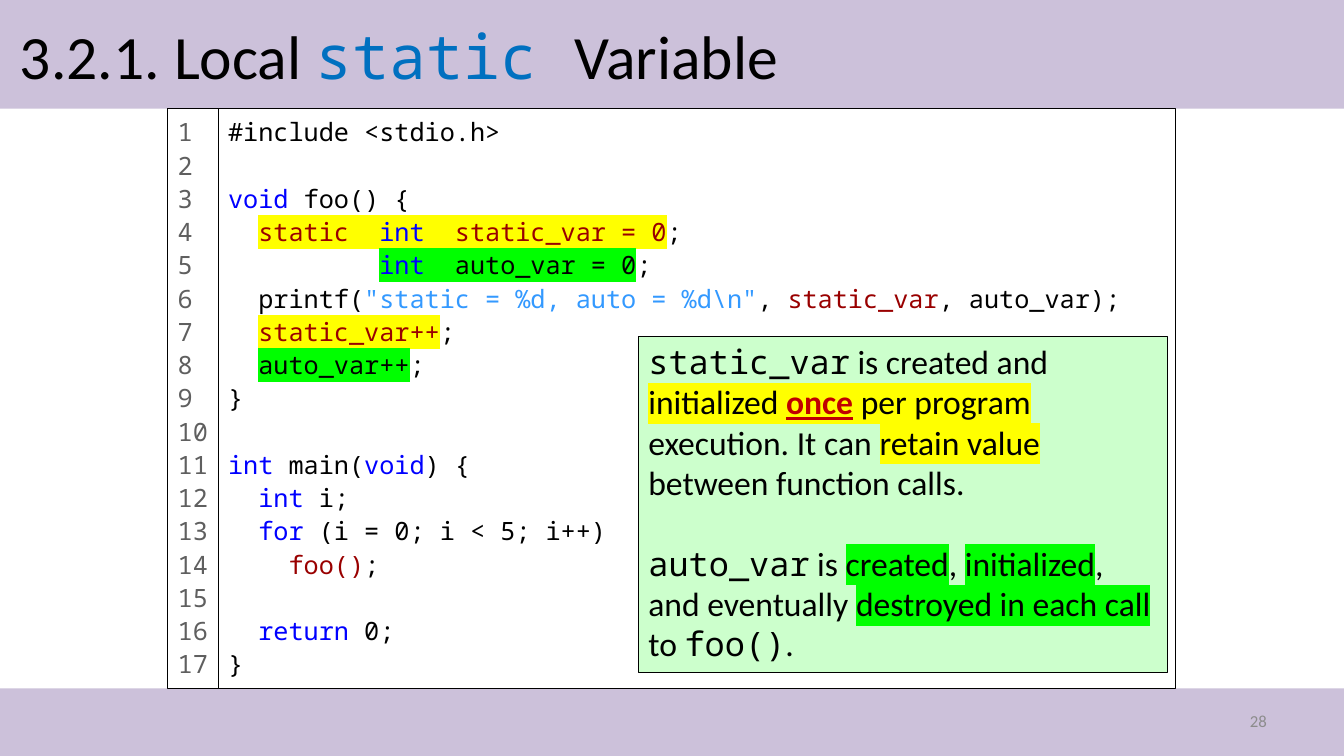
from lxml import etree
from pptx import Presentation
from pptx.dml.color import RGBColor
from pptx.enum.shapes import MSO_SHAPE
from pptx.enum.text import MSO_ANCHOR, PP_ALIGN
from pptx.oxml.ns import qn
from pptx.util import Cm, Pt

RECTANGLE = MSO_SHAPE.RECTANGLE
TOP, MIDDLE = MSO_ANCHOR.TOP, MSO_ANCHOR.MIDDLE
LEFT, RIGHT = PP_ALIGN.LEFT, PP_ALIGN.RIGHT
SANS, MONO = "Calibri", "Noto Sans Mono"
BLACK, WHITE, LILAC, MINT = "000000", "FFFFFF", "CCC1DA", "CCFFCC"
BLUE, RED, YELLOW, GREEN = "0000FF", "990000", "FFFF00", "00FF00"
WIDTH, HEIGHT = 33.87, 19.05
HEADER, FOOTER_TOP = 2.74, 17.35

# Looks that a span may add to the base look of its box
KEYWORD = {"color": BLUE}
STATIC = {"color": RED}
TEXT = {"color": "3399FF"}
KEPT = {"mark": YELLOW}
KEPT_STATIC = {"color": RED, "mark": YELLOW}
KEPT_KEYWORD = {"color": BLUE, "mark": YELLOW}
FRESH = {"mark": GREEN}
FRESH_KEYWORD = {"color": BLUE, "mark": GREEN}
CODE_WORD = {"name": MONO}
ONCE = {"color": "C00000", "mark": YELLOW, "bold": True, "underline": True}

CODE = [
    ["#include <stdio.h>"],
    [],
    [("void", KEYWORD), " foo() {"],
    ["  ", ("static", KEPT_STATIC), ("  ", KEPT), ("int", KEPT_KEYWORD),
     ("  ", KEPT), ("static_var = 0", KEPT_STATIC), ";"],
    ["          ", ("int", FRESH_KEYWORD), ("  auto_var = 0", FRESH), ";"],
    ["  printf(", ('"static = %d, auto = %d\\n"', TEXT), ", ",
     ("static_var", STATIC), ", auto_var);"],
    ["  ", ("static_var++", KEPT_STATIC), ";"],
    ["  ", ("auto_var++", FRESH), ";"],
    ["}"],
    [],
    [("int", KEYWORD), " main(", ("void", KEYWORD), ") {"],
    ["  ", ("int ", KEYWORD), "i;"],
    ["  ", ("for", KEYWORD), " (i = 0; i < 5; i++)"],
    ["    ", ("foo()", STATIC), ";"],
    [],
    ["  ", ("return", KEYWORD), " 0;"],
    ["}"],
]
NOTE = [
    [("static_var", CODE_WORD), " is created and ", ("initialized ", KEPT),
     ("once", ONCE), (" per program ", KEPT), "execution. It can ",
     ("retain value ", KEPT), "between function calls."],
    [("auto_var", CODE_WORD), " is ", ("created", FRESH), ", ",
     ("initialized", FRESH), ", and eventually ",
     ("destroyed in each call ", FRESH), "to ", ("foo()", CODE_WORD), "."],
]


def rgb(value):
    return RGBColor.from_string(value)


class SlideBuilder:
    def __init__(self, page):
        self.page = page
        self.base = {"name": SANS, "color": BLACK}

    def format_font(self, font, look):
        for key, value in look.items():
            if key == "color":
                font.color.rgb = rgb(value)
            elif key != "mark":
                setattr(font, key, value)

    def highlight(self, span, color):
        fill = span.font._element.find(qn("a:solidFill"))
        mark = etree.Element(qn("a:highlight"))
        etree.SubElement(mark, qn("a:srgbClr"), val=color)
        fill.addnext(mark)

    def add_text(self, box, lines, look, layout=None, anchor=TOP, gap=None):
        frame = box.text_frame
        frame.word_wrap = True
        frame.vertical_anchor = anchor
        look = {**self.base, **look}
        for number, line in enumerate(lines):
            para = frame.add_paragraph() if number else frame.paragraphs[0]
            for key, value in {"alignment": LEFT, **(layout or {})}.items():
                setattr(para, key, value)
            if number and gap:
                para.space_before = gap
            self.format_font(para.font, look)
            for part in line:
                words, extra = (part, {}) if isinstance(part, str) else part
                span = para.add_run()
                span.text = words
                self.format_font(span.font, {**look, **extra})
                if "mark" in extra:
                    self.highlight(span, extra["mark"])

    def place(self, box, area):
        for key, value in zip(("left", "top", "width", "height"), area):
            setattr(box, key, Cm(value))

    def panel(self, area, fill, outlined=True):
        box = self.page.shapes.add_shape(RECTANGLE, *map(Cm, area))
        box.shadow.inherit = False
        box.fill.solid()
        box.fill.fore_color.rgb = rgb(fill)
        if outlined:
            box.line.color.rgb = rgb(BLACK)
            box.line.width = Pt(0.75)
        else:
            box.line.fill.background()
        return box

    def band(self, area):
        box = self.panel(area, LILAC, outlined=False)
        self.page.shapes._spTree.insert(2, box._element)  # behind the title

    def title(self, area, spans):
        box = self.page.shapes.title
        self.place(box, area)
        self.add_text(box, [spans], {"size": Pt(44)}, anchor=MIDDLE)

    def label(self, area, words, look, alignment):
        box = self.page.shapes.add_textbox(*map(Cm, area))
        self.add_text(box, [[words]], look, {"alignment": alignment}, MIDDLE)


def main():
    deck = Presentation()
    deck.slide_width, deck.slide_height = Cm(WIDTH), Cm(HEIGHT)
    builder = SlideBuilder(deck.slides.add_slide(deck.slide_layouts[5]))

    # Bands, title and page number
    builder.band((0, 0, WIDTH, HEADER))
    builder.band((0, FOOTER_TOP, WIDTH, HEIGHT - FOOTER_TOP))
    builder.title((0.25, 0.2, 30.48, 2.34), [
        "3.2.1. Local ", ("static ", {"name": MONO, "color": "0070C0"}),
        "Variable"])
    builder.label((24.28, 17.66, 7.9, 1.01), "28",
                  {"size": Pt(12), "color": "8C8C8C"}, RIGHT)

    # Code listing with line numbers
    code_look = {"name": MONO, "size": Pt(18)}
    code_layout = {"line_spacing": Pt(23.76)}
    code_height = FOOTER_TOP - HEADER
    listing = builder.panel((5.5, HEADER, 24.13, code_height), WHITE)
    builder.add_text(listing, CODE, code_look, code_layout)
    gutter = builder.panel((4.23, HEADER, 1.29, code_height), WHITE)
    gutter.text_frame.margin_right = 0
    numbers = [[str(number)] for number in range(1, len(CODE) + 1)]
    builder.add_text(gutter, numbers, {**code_look, "color": "5F5F5F"},
                     code_layout)

    # Explanation
    note = builder.panel((16.09, 8.47, 13.34, 8.47), MINT)
    builder.add_text(note, NOTE, {"size": Pt(24)}, {"line_spacing": Pt(28.8)},
                     gap=Pt(28.8))

    deck.save("out.pptx")


if __name__ == "__main__":
    main()
